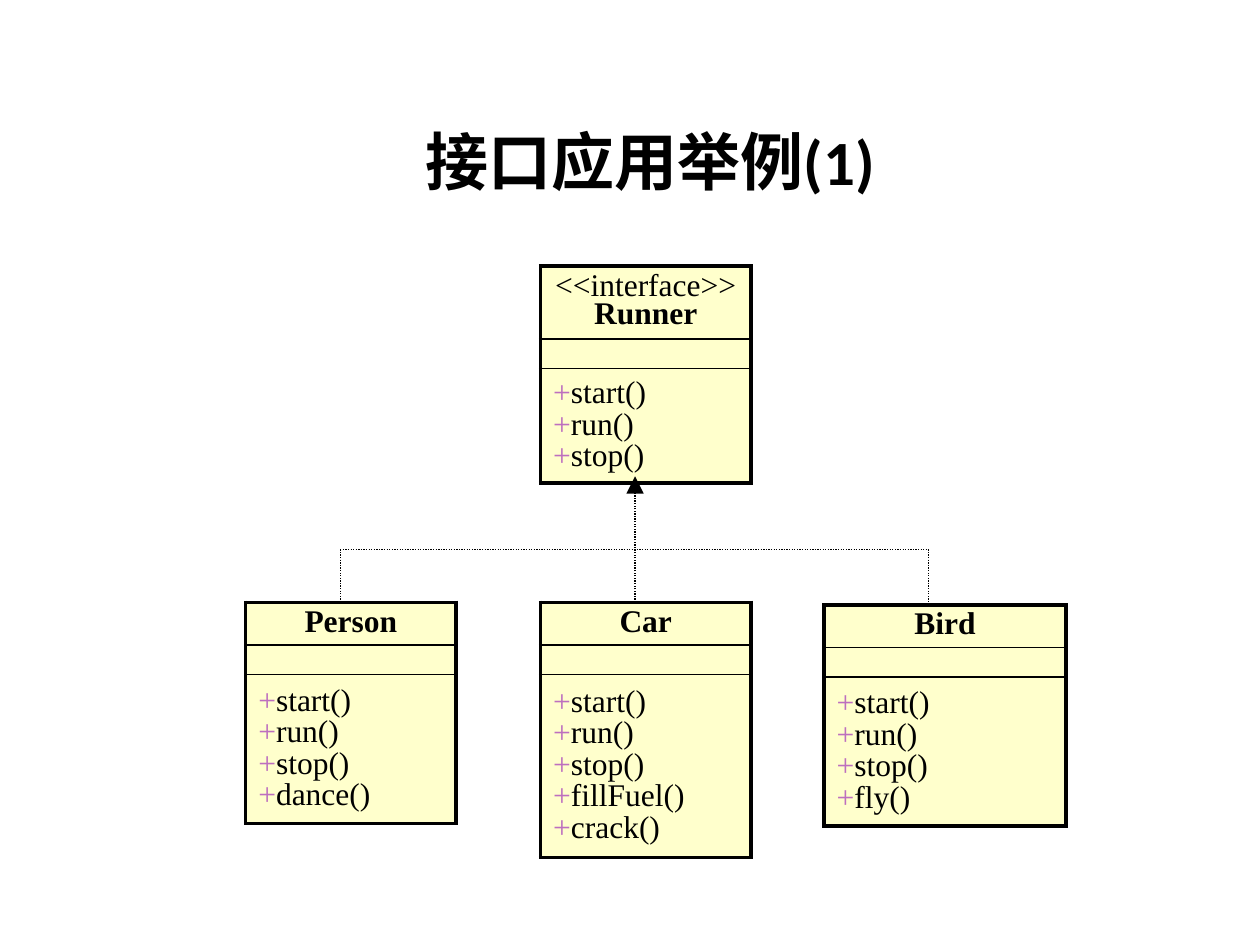
"""Build a UML slide: the Runner interface and the three classes that implement it."""
from lxml.etree import SubElement
from pptx import Presentation
from pptx.dml.color import RGBColor
from pptx.enum.dml import MSO_LINE
from pptx.enum.shapes import MSO_CONNECTOR
from pptx.enum.text import MSO_ANCHOR, PP_ALIGN
from pptx.oxml.ns import qn
from pptx.util import Inches, Pt

THEME = {
    "ink": "000000", "plus": "BD6FBF", "cell": "FFFFCC",
    "title_font": "Calibri", "uml_font": "Times New Roman",
    "title_size": 36, "uml_size": 18, "blank_size": 8,
    "frame": 2.25, "rule": 1, "link": 0.75,
}
COL = ROW = Inches(0.1)


def write(p, text, font="uml_font", size="uml_size", color="ink", bold=False,
          align=PP_ALIGN.CENTER, spacing=None):
    p.alignment = align
    if spacing:
        p.line_spacing = spacing
    r = p.add_run()
    r.text = text
    r.font.name, r.font.size, r.font.bold = THEME[font], Pt(THEME[size]), bold
    r.font.color.rgb = RGBColor.from_string(THEME[color])


def frame_cell(cell, top, bottom):
    tc_pr = cell._tc.get_or_add_tcPr()
    for side, width in (("L", "frame"), ("R", "frame"), ("T", top), ("B", bottom)):
        ln = SubElement(tc_pr, qn(f"a:ln{side}"), w=str(Pt(THEME[width])))
        fill = SubElement(ln, qn("a:solidFill"))
        SubElement(fill, qn("a:srgbClr"), val=THEME["ink"])
    cell.fill.solid()
    cell.fill.fore_color.rgb = RGBColor.from_string(THEME["cell"])
    cell.vertical_anchor = MSO_ANCHOR.MIDDLE


prs = Presentation()
prs.slide_width, prs.slide_height = 100 * COL, 75 * ROW
s = prs.slides.add_slide(prs.slide_layouts[6])

tf = s.shapes.add_textbox(27 * COL, int(8.4 * ROW), int(49.2 * COL), int(8.6 * ROW)).text_frame
tf.word_wrap = True
tf.vertical_anchor = MSO_ANCHOR.MIDDLE
write(tf.paragraphs[0], "接口应用举例(1)", font="title_font", size="title_size", bold=True)

shared = ["start()", "run()", "stop()"]
classes = [
    (42.9, 21.1, 16.7, ["<<interface>>", "Runner"], shared),
    (19.5, 47.8, 16.7, ["Person"], shared + ["dance()"]),
    (42.9, 47.8, 16.7, ["Car"], shared + ["fillFuel()", "crack()"]),
    (65.4, 48, 19.2, ["Bird"], shared + ["fly()"]),
]
for left, top, width, names, methods in classes:
    heights = [0.9 + 2.25 * len(names), 2.3, 1 + 2.5 * len(methods)]
    tbl = s.shapes.add_table(3, 1, int(left * COL), int(top * ROW),
                             int(width * COL), int(sum(heights) * ROW)).table
    tbl.first_row = tbl.horz_banding = False
    borders = ["frame", "rule", "rule", "frame"]
    for i, height in enumerate(heights):
        tbl.rows[i].height = int(height * ROW)
        frame_cell(tbl.cell(i, 0), borders[i], borders[i + 1])

    head, blank, body = (tbl.cell(i, 0).text_frame for i in range(3))
    for i, name in enumerate(names):
        p = head.add_paragraph() if i else head.paragraphs[0]
        write(p, name, bold=name == names[-1], spacing=0.8)
    SubElement(blank.paragraphs[0]._p, qn("a:endParaRPr"), sz=str(THEME["blank_size"] * 100))
    for i, method in enumerate(methods):
        p = body.add_paragraph() if i else body.paragraphs[0]
        write(p, "+", color="plus", align=PP_ALIGN.JUSTIFY, spacing=0.9)
        write(p, method, align=PP_ALIGN.JUSTIFY, spacing=0.9)

person_x, car_x, bird_x = 27, 50.4, 73.7
bus_y, class_y, runner_y = 43.6, 47.8, 37.8
links = [
    (person_x, bus_y, bird_x, bus_y),
    (person_x, bus_y, person_x, class_y),
    (bird_x, bus_y, bird_x, class_y),
    (car_x, class_y, car_x, runner_y),
]
for x1, y1, x2, y2 in links:
    link = s.shapes.add_connector(MSO_CONNECTOR.STRAIGHT, int(x1 * COL), int(y1 * ROW),
                                  int(x2 * COL), int(y2 * ROW))
    link.line.color.rgb = RGBColor.from_string(THEME["ink"])
    link.line.width = Pt(THEME["link"])
    link.line.dash_style = MSO_LINE.ROUND_DOT
    if y2 == runner_y:
        SubElement(link.line._get_or_add_ln(), qn("a:tailEnd"), type="triangle", w="lg", len="lg")
    SubElement(link._element.spPr, qn("a:effectLst"))

prs.save("out.pptx")
